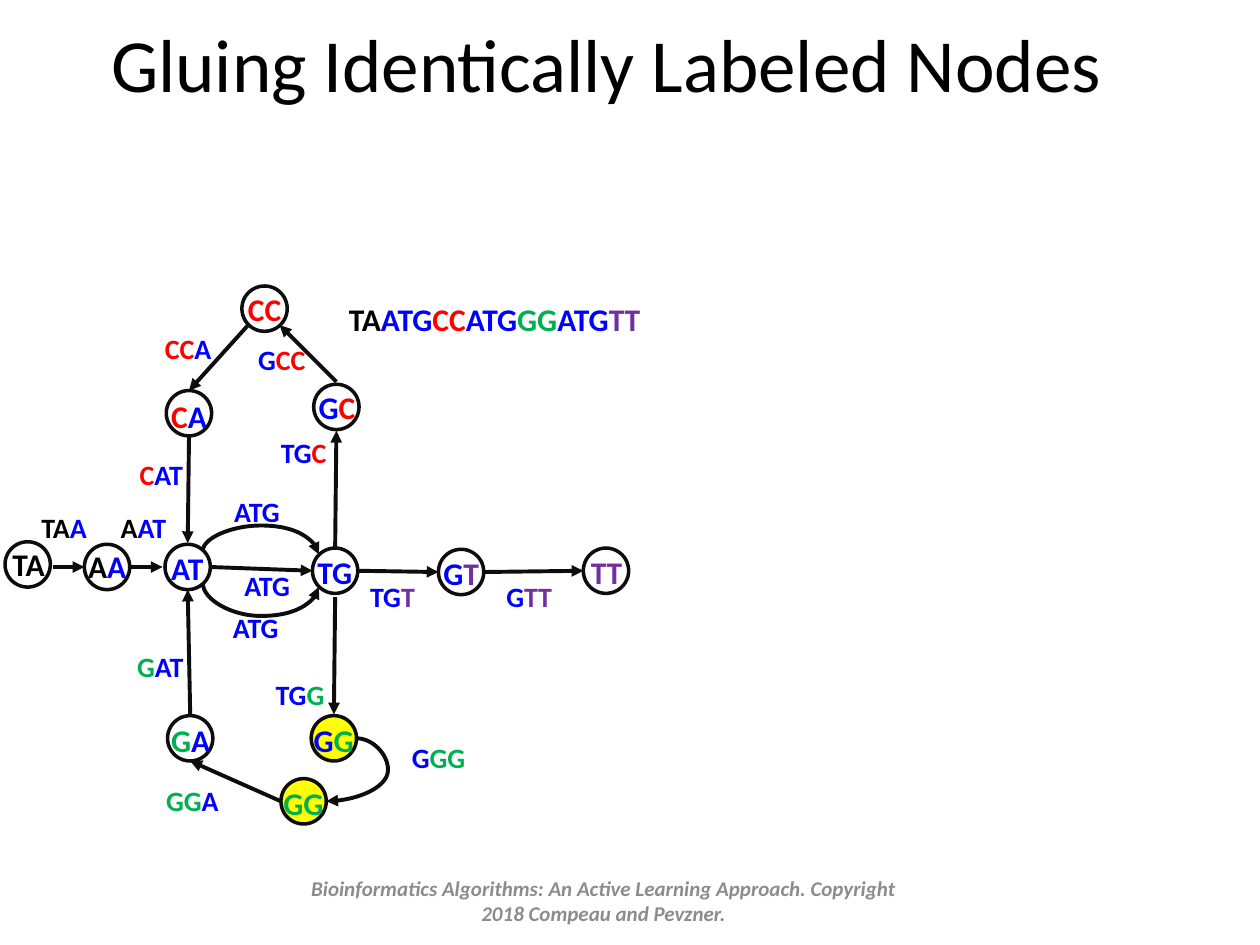
"""Draw the graph whose identically labeled nodes are being glued together."""
from dataclasses import dataclass
from itertools import groupby
from typing import Optional

from lxml import etree
from pptx import Presentation
from pptx import util as u
from pptx.dml.color import RGBColor
from pptx.enum import shapes, text
from pptx.oxml.ns import qn

EMU_PER_PX = 9144
FONT = "Calibri"
INK = "0D0D0D"
YELLOW = "FFFF00"
NODE_SIZE = 36
COLORS = {"k": "000000", "b": "0000FF", "r": "FF0000", "g": "00B050", "p": "7030A0"}


@dataclass
class Label:
    """Text at a place; tints holds one colour key per letter."""
    letters: str
    tints: str
    x: int
    y: int
    w: int


@dataclass
class Node:
    """A circle at (x, y) with its own label."""
    x: int
    y: int
    label: Label
    fill: Optional[str] = None


@dataclass
class Edge:
    """A straight arrow between two points."""
    x1: int
    y1: int
    x2: int
    y2: int


@dataclass
class Arc:
    """A curved arrow that bulges by a distance, up and down or sideways."""
    x1: int
    y1: int
    x2: int
    y2: int
    bulge: int
    upright: bool


EDGES = [
    Edge(42, 450, 67, 450), Edge(104, 450, 129, 450),
    Edge(266, 435, 267, 342), Edge(267, 303, 222, 258),
    Edge(197, 258, 150, 310), Edge(150, 347, 149, 431),
    Edge(167, 450, 248, 453), Edge(284, 453, 348, 454),
    Edge(384, 454, 463, 453), Edge(266, 474, 265, 567),
    Edge(223, 636, 151, 604), Edge(151, 568, 149, 468),
]
ARCS = [
    Arc(161, 437, 253, 440, -20, True),
    Arc(161, 463, 253, 466, 26, True),
    Arc(283, 586, 259, 636, -25, False),
]
EDGE_LABELS = [
    Label("TAA", "kkb", 23, 400, 59), Label("AAT", "kbb", 86, 400, 59),
    Label("TGC", "bbr", 213, 341, 58), Label("GCC", "brr", 195, 267, 58),
    Label("CCA", "rrb", 121, 258, 58), Label("CAT", "rbb", 101, 358, 57),
    Label("ATG", "bbb", 176, 388, 59), Label("ATG", "bbb", 184, 446, 59),
    Label("ATG", "bbb", 175, 480, 59), Label("TGG", "bbg", 209, 533, 60),
    Label("GGG", "bgg", 317, 583, 63), Label("GGA", "ggb", 122, 617, 63),
    Label("GAT", "gbb", 99, 511, 59), Label("TGT", "bbp", 284, 455, 57),
    Label("GTT", "bpp", 392, 455, 57),
]
NODES = [
    Node(4, 430, Label("TA", "kk", 0, 428, 48)),
    Node(67, 432, Label("AA", "kb", 60, 429, 51)),
    Node(131, 432, Label("AT", "bb", 126, 431, 48)),
    Node(248, 435, Label("TG", "bb", 242, 434, 49)),
    Node(348, 436, Label("GT", "bp", 342, 435, 49)),
    Node(463, 435, Label("TT", "pp", 459, 434, 45)),
    Node(249, 305, Label("GC", "br", 243, 303, 50)),
    Node(192, 227, Label("CC", "rr", 187, 225, 47)),
    Node(132, 310, Label("CA", "rb", 126, 310, 49)),
    Node(247, 568, Label("GG", "bg", 239, 567, 52), YELLOW),
    Node(223, 618, Label("GG", "gg", 215, 617, 52), YELLOW),
    Node(133, 568, Label("GA", "gb", 126, 567, 52)),
]
SEQUENCE = Label("TAATGCCATGGGATGTT", "kkbbbrrbbbggbbbpp", 267, 233, 263)


def px(n: float) -> int:
    """Turn px into EMU."""
    return round(n * EMU_PER_PX)


def rgb(value: str) -> RGBColor:
    """Turn a hex string into a colour."""
    return RGBColor.from_string(value)


def add_label(parent, label: Label, size: int, height: int) -> None:
    """Add a one-line bold label with a run for each stretch of one colour."""
    tf = parent.add_textbox(px(label.x), px(label.y), px(label.w), px(height)).text_frame
    tf.word_wrap = False
    tf.auto_size = text.MSO_AUTO_SIZE.SHAPE_TO_FIT_TEXT
    pairs = zip(label.letters, label.tints)
    for tint, group in groupby(pairs, key=lambda pair: pair[1]):
        r = tf.paragraphs[0].add_run()
        r.text = "".join(letter for letter, _ in group)
        r.font.name, r.font.size, r.font.bold = FONT, u.Pt(size), True
        r.font.color.rgb = rgb(COLORS[tint])


def add_node(parent, node: Node) -> None:
    """Add a circle grouped with its label."""
    group = parent.add_group_shape().shapes
    sp = group.add_shape(shapes.MSO_SHAPE.OVAL, px(node.x), px(node.y),
                         px(NODE_SIZE), px(NODE_SIZE))
    sp.shadow.inherit = False
    if node.fill:
        sp.fill.solid()
        sp.fill.fore_color.rgb = rgb(node.fill)
    else:
        sp.fill.background()
    sp.line.color.rgb = rgb(INK)
    sp.line.width = u.Pt(2)
    add_label(group, node.label, 18, 40)


def add_arrow(parent, kind, x1: float, y1: float, x2: float, y2: float):
    """Add a connector with an arrowhead at its end."""
    cx = parent.add_connector(kind, px(x1), px(y1), px(x2), px(y2))
    cx.line.color.rgb = rgb(INK)
    cx.line.width = u.Pt(2.25)
    etree.SubElement(cx.line._get_or_add_ln(), qn("a:tailEnd"), type="triangle")
    etree.SubElement(cx._element.spPr, qn("a:effectLst"))
    return cx


def add_arc(parent, arc: Arc) -> None:
    """Add a curved arrow, turned a quarter when it bulges up or down."""
    width, height = abs(arc.x2 - arc.x1), abs(arc.y2 - arc.y1)
    mid_x, mid_y = (arc.x1 + arc.x2) / 2, (arc.y1 + arc.y2) / 2
    if arc.upright:
        width, height = height, width
    cx = add_arrow(parent, shapes.MSO_CONNECTOR.CURVE,
                   mid_x + width / 2, mid_y - height / 2,
                   mid_x - width / 2, mid_y + height / 2)
    spPr = cx._element.spPr
    if arc.upright:
        spPr.find(qn("a:xfrm")).set("rot", str(270 * 60000))
    guides = spPr.find(qn("a:prstGeom")).find(qn("a:avLst"))
    etree.SubElement(guides, qn("a:gd"), name="adj1",
                     fmla=f"val {round(arc.bulge / width * 100000)}")


def add_centered(parent, content: str, box: tuple[int, int, int, int],
                 size: float, color: str, strong: bool) -> None:
    """Add a wrapped, centered text; strong makes it bold italic."""
    tf = parent.add_textbox(*map(px, box)).text_frame
    tf.word_wrap = True
    tf.vertical_anchor = text.MSO_ANCHOR.MIDDLE
    tf.text = content
    p = tf.paragraphs[0]
    p.alignment = text.PP_ALIGN.CENTER
    font = p.runs[0].font
    font.name, font.size = FONT, u.Pt(size)
    font.bold = font.italic = strong
    font.color.rgb = rgb(color)


def main() -> None:
    """Build and save the slide."""
    prs = Presentation()
    prs.slide_width, prs.slide_height = px(1000), px(750)
    s = prs.slides.add_slide(prs.slide_layouts[6]).shapes
    for e in EDGES:
        add_arrow(s, shapes.MSO_CONNECTOR.STRAIGHT, e.x1, e.y1, e.x2, e.y2)
    for arc in ARCS:
        add_arc(s, arc)
    for label in EDGE_LABELS:
        add_label(s, label, 16, 37)
    for node in NODES:
        add_node(s, node)
    add_label(s, SEQUENCE, 18, 40)
    add_centered(s, "Gluing Identically Labeled Nodes", (31, 8, 900, 83),
                 42.9, "000000", False)
    add_centered(s, "Bioinformatics Algorithms: An Active Learning Approach. "
                 "Copyright 2018 Compeau and Pevzner.", (225, 695, 508, 40),
                 12, "8C8C8C", True)
    prs.save("out.pptx")


if __name__ == "__main__":
    main()
